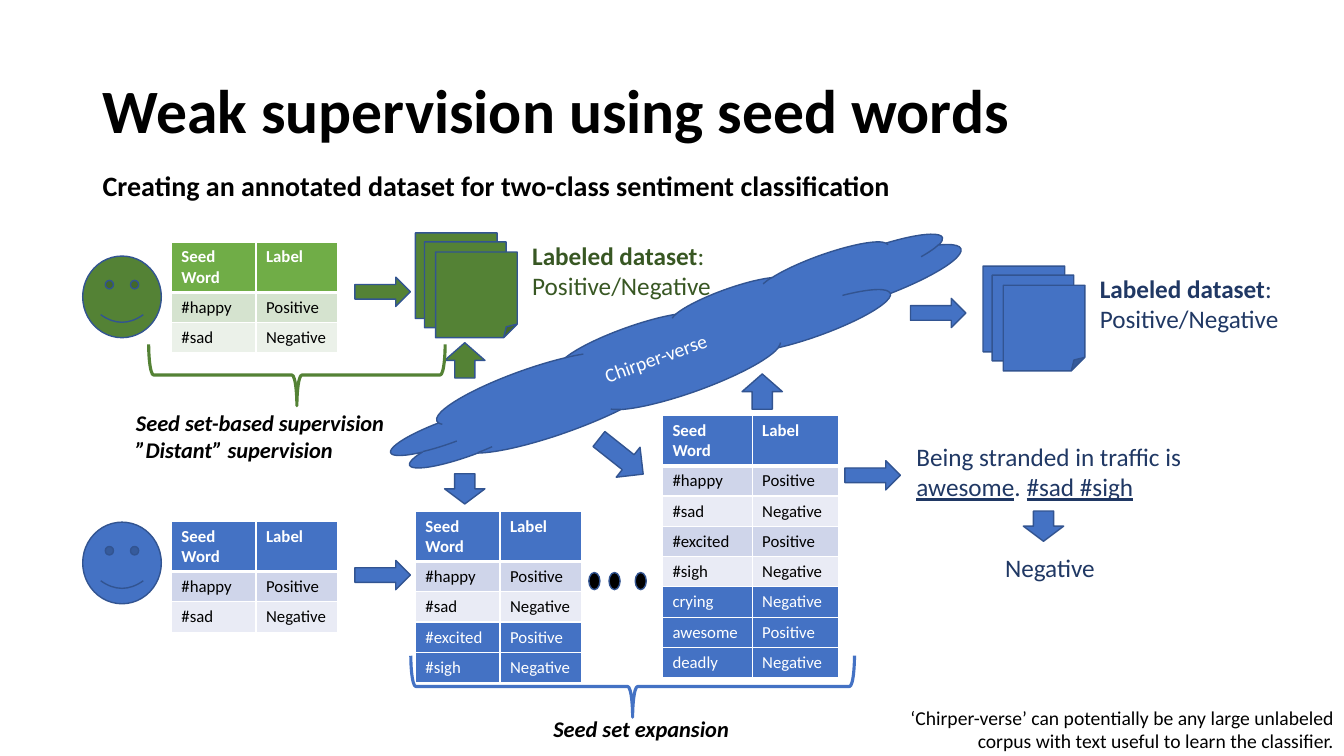
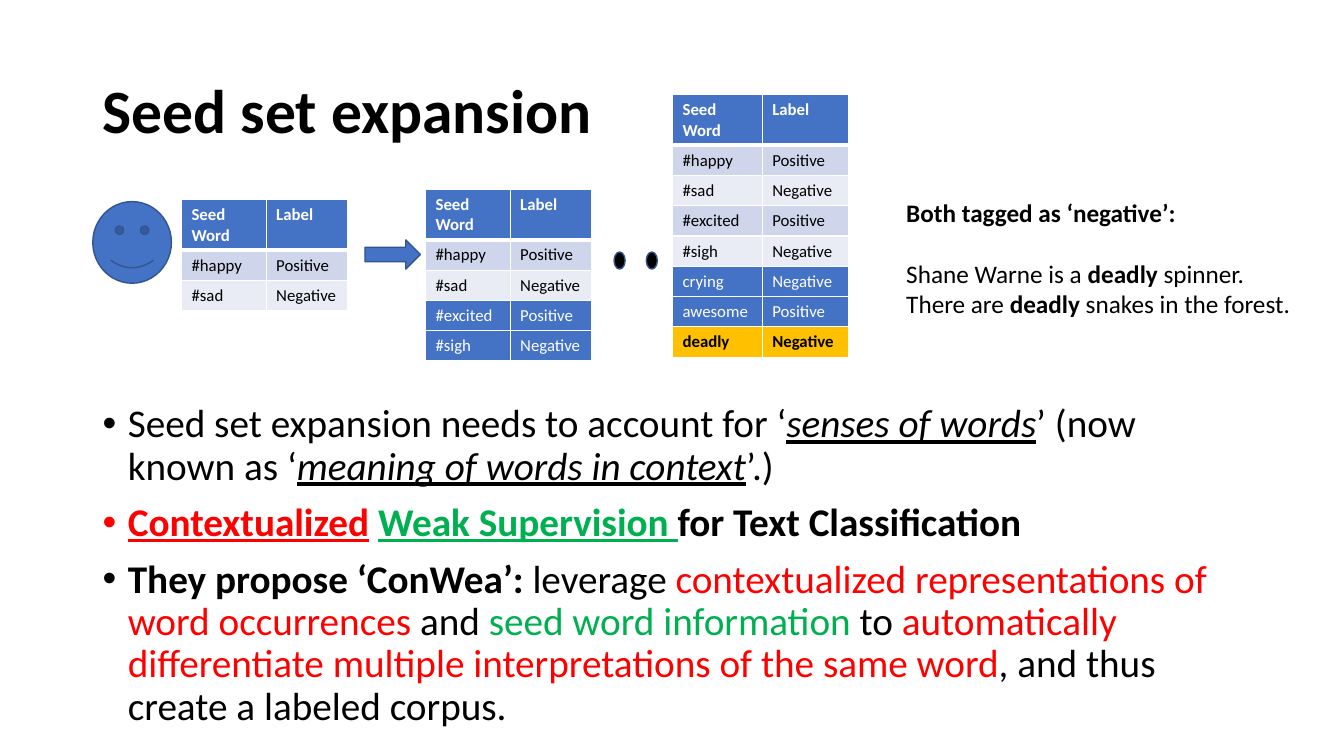
from dataclasses import dataclass

from pptx import Presentation
from pptx import util as u
from pptx.dml.color import RGBColor
from pptx.enum import shapes, text
from pptx.oxml import parse_xml
from pptx.oxml.ns import nsdecls

Inches = u.Inches
Kind = shapes.MSO_SHAPE


@dataclass(frozen=True)
class Hue:
    main: str
    head: str
    bands: tuple
    ink: str


@dataclass(frozen=True)
class Theme:
    font: str = "Calibri"
    black: str = "000000"
    white: str = "FFFFFF"
    edge: str = "325491"
    red: str = "FF0000"
    mint: str = "00B050"
    gold: str = "FFC000"
    blue: Hue = Hue("4472C4", "4472C4", ("CFD5EA", "E9EBF5"), "203864")
    green: Hue = Hue("548235", "70AD47", ("D5E3CF", "EBF1E9"), "385723")
    title: int = 44
    body: int = 28
    sub: int = 20
    label: int = 18
    tag: int = 16
    note: int = 14
    cell: int = 12


T = Theme()
SEEDS = [("#happy", "Positive"), ("#sad", "Negative"), ("#excited", "Positive"),
         ("#sigh", "Negative"), ("crying", "Negative"), ("awesome", "Positive"),
         ("deadly", "Negative")]
SLIM = (0.84, 0.81)
WIDE = (0.89, 0.86)


def tint(name):
    return RGBColor.from_string(name)


class Deck:
    def __init__(self):
        self.prs = Presentation()
        self.prs.slide_width = Inches(13.33)
        self.prs.slide_height = Inches(7.5)
        self.slide = None

    def page(self, title):
        self.slide = self.prs.slides.add_slide(self.prs.slide_layouts[6])
        box = self.words(0.92, 0.4, 11.5, 1.45, [[(title, "b")]], T.title, lead=0.9)
        box.text_frame.vertical_anchor = text.MSO_ANCHOR.MIDDLE

    def style(self, run, size, color, marks=""):
        font = run.font
        font.name, font.size = T.font, u.Pt(size)
        font.color.rgb = tint(color)
        font.bold, font.italic, font.underline = [m in marks for m in "biu"]

    def words(self, x, y, w, h, paras, size, color=T.black, align="LEFT",
              lead=None, gap=0, after=0, bullet=False):
        box = self.slide.shapes.add_textbox(*map(Inches, (x, y, w, h)))
        frame = box.text_frame
        frame.word_wrap = True
        for i, parts in enumerate(paras):
            para = frame.add_paragraph() if i else frame.paragraphs[0]
            para.alignment = getattr(text.PP_ALIGN, align)
            para.line_spacing = lead
            para.space_before = u.Pt(gap)
            para.space_after = u.Pt(0 if i else after)
            if bullet:
                self.bullet(para)
            for part, marks, *own in parts:
                run = para.add_run()
                run.text = part
                self.style(run, size, own[0] if own else color, marks)
        return box

    def bullet(self, para):
        props = para._p.get_or_add_pPr()
        props.set("marL", str(Inches(0.25)))
        props.set("indent", str(Inches(-0.25)))
        props.append(parse_xml(f'<a:buFont {nsdecls("a")} typeface="Arial"/>'))
        props.append(parse_xml(f'<a:buChar {nsdecls("a")} char="•"/>'))

    def shape(self, kind, x, y, w, h, fill, turn=0, line=T.edge, width=1):
        item = self.slide.shapes.add_shape(kind, *map(Inches, (x, y, w, h)))
        item.shadow.inherit = False
        item.rotation = turn
        item.line.color.rgb = tint(line)
        item.line.width = u.Pt(width)
        if fill:
            item.fill.solid()
            item.fill.fore_color.rgb = tint(fill)
        else:
            item.fill.background()
        return item

    def face(self, x, y, hue):
        self.shape(Kind.SMILEY_FACE, x, y, 0.78, 0.81, hue.main)

    def right(self, x, y, hue=T.blue):
        self.shape(Kind.RIGHT_ARROW, x, y, 0.55, 0.29, hue.main)

    def down(self, x, y):
        self.shape(Kind.DOWN_ARROW, x, y, 0.4, 0.3, T.blue.main)

    def up(self, x, y, hue=T.blue):
        self.shape(Kind.DOWN_ARROW, x, y, 0.4, 0.35, hue.main, 180)

    def dots(self, y, *lefts):
        for x in lefts:
            self.shape(Kind.OVAL, x, y, 0.11, 0.17, T.black)

    def brace(self, x, y, h, hue):
        item = self.shape(Kind.LEFT_BRACE, x, y, 0.61, h, None, 270, hue.main, 2.25)
        item.adjustments[0], item.adjustments[1] = 0.08, 0.5

    def cloud(self, label):
        item = self.shape(Kind.CLOUD, 3.71, 3.07, 6, 0.85, T.blue.main, 340.2)
        frame = item.text_frame
        frame.text = label
        frame.vertical_anchor = text.MSO_ANCHOR.MIDDLE
        frame.paragraphs[0].alignment = text.PP_ALIGN.CENTER
        self.style(frame.paragraphs[0].runs[0], T.note, T.white)

    def dataset(self, x, y, hue):
        for dx, dy in ((0, 0), (0.09, 0.09), (0.2, 0.19)):
            self.shape(Kind.FOLDED_CORNER, x + dx, y + dy, 0.81, 0.85, hue.main)
        self.words(x + 1.06, y + 0.02, 2.2, 0.71,
                   [[("Labeled dataset", "b"), (":", "")], [("Positive/Negative", "")]],
                   T.label, hue.ink)

    def cell(self, cell, label, fill, color, marks="", base=1):
        cell.text_frame.text = label
        self.style(cell.text_frame.paragraphs[0].runs[0], T.cell, color, marks)
        props = cell._tc.get_or_add_tcPr()
        for side, width in (("L", 1), ("R", 1), ("T", 1), ("B", base)):
            props.append(parse_xml(
                f'<a:ln{side} {nsdecls("a")} w="{u.Pt(width)}"><a:solidFill>'
                f'<a:srgbClr val="{T.white}"/></a:solidFill></a:ln{side}>'))
        cell.fill.solid()
        cell.fill.fore_color.rgb = tint(fill)

    def table(self, x, y, count, known, cols=SLIM, hue=T.blue, hot=None):
        heights = [0.5] + [0.3] * count
        grid = self.slide.shapes.add_table(
            count + 1, 2, *map(Inches, (x, y, sum(cols), sum(heights)))).table
        grid.horz_banding = False
        for col, width in zip(grid.columns, cols):
            col.width = Inches(width)
        for row, height in zip(grid.rows, heights):
            row.height = Inches(height)
        for c, label in enumerate(("Seed Word", "Label")):
            self.cell(grid.cell(0, c), label, hue.head, T.white, "b", 3)
        for r, pair in enumerate(SEEDS[:count]):
            if pair[0] == hot:
                look = (T.gold, T.black, "b")
            elif r < known:
                look = (hue.bands[r % 2], T.black)
            else:
                look = (hue.main, T.white)
            for c, label in enumerate(pair):
                self.cell(grid.cell(r + 1, c), label, *look)


def weak(deck):
    deck.page("Weak supervision using seed words")
    deck.words(0.92, 1.66, 11.5, 0.5,
               [[("Creating an annotated dataset for two-class sentiment classification", "b")]],
               T.sub, lead=0.9, gap=10)
    for hue, face, table, arrow in ((T.green, 2.54, 2.4, 2.75), (T.blue, 5.18, 5.17, 5.56)):
        deck.face(0.82, face, hue)
        deck.table(1.7, table, 2, 2, hue=hue)
        deck.right(3.52, arrow, hue)
    deck.cloud("Chirper-verse")
    deck.up(4.41, 3.4, T.green)
    deck.dataset(4.12, 2.31, T.green)
    deck.down(4.41, 4.7)
    deck.words(8.71, 6.95, 4.62, 0.57,
               [[("‘Chirper-verse’ can potentially be any large unlabeled corpus "
                  "with text useful to learn the classifier.", "")]], T.note, align="RIGHT")
    deck.table(4.12, 5.07, 4, 2)
    deck.table(6.57, 4.12, 7, 4, WIDE)
    deck.dots(5.68, 5.84, 6.04, 6.3)
    deck.words(5.39, 7.05, 2.2, 0.37, [[("Seed set expansion", "bi")]], T.tag)
    deck.brace(5.97, 4.61, 4.4, T.blue)
    deck.right(9.03, 2.96)
    deck.up(7.36, 3.71)
    deck.dataset(9.75, 2.64, T.blue)
    deck.words(8.99, 4.33, 3.41, 0.71,
               [[("Being stranded in traffic is ", ""), ("awesome", "u"), (". ", ""),
                 ("#sad #sigh", "u")]], T.label, T.blue.ink)
    deck.right(8.38, 4.57)
    deck.down(10.15, 5.07)
    deck.words(9.87, 5.43, 1.3, 0.4, [[("Negative", "")]], T.label, T.blue.ink)
    deck.shape(Kind.RIGHT_ARROW, 5.88, 4.34, 0.56, 0.38, T.blue.main, 38.4)
    deck.words(1.25, 4.01, 2.9, 0.64,
               [[("Seed set-based supervision", "bi")], [("”Distant” supervision", "bi")]], T.tag)
    deck.brace(2.64, 2.25, 2.94, T.green)


def growth(deck):
    deck.page("Seed set expansion")
    deck.words(0.92, 3.96, 11.5, 3.4, [
        [("Seed set expansion needs to account for ‘", ""), ("senses of words", "iu"),
         ("’ (now known as ‘", ""), ("meaning of words in context", "iu"), ("’.)", "")],
        [("Contextualized", "bu", T.red), (" ", "b"), ("Weak Supervision ", "bu", T.mint),
         ("for Text Classification", "b")],
        [("They propose ‘ConWea’: ", "b"), ("leverage ", ""),
         ("contextualized representations of word occurrences", "", T.red), (" and ", ""),
         ("seed word information ", "", T.mint), ("to ", ""),
         ("automatically differentiate multiple interpretations of the same word", "", T.red),
         (", and thus create a labeled corpus.", "")],
    ], T.body, lead=0.9, gap=10, bullet=True)
    deck.face(0.92, 2, T.blue)
    deck.table(1.8, 1.98, 2, 2)
    deck.right(3.62, 2.38)
    deck.table(4.22, 1.88, 4, 2)
    deck.table(6.67, 0.94, 7, 4, WIDE, hot="deadly")
    deck.dots(2.5, 6.09, 6.41)
    deck.words(8.89, 1.91, 4.24, 1.31, [
        [("Both tagged as ‘negative’:", "b")],
        [("Shane Warne is a ", ""), ("deadly", "b"), (" spinner.", "")],
        [("There are ", ""), ("deadly", "b"), (" snakes in the forest.", "")],
    ], T.label, after=22)


def main():
    deck = Deck()
    weak(deck)
    growth(deck)
    deck.prs.save("out.pptx")


if __name__ == "__main__":
    main()
